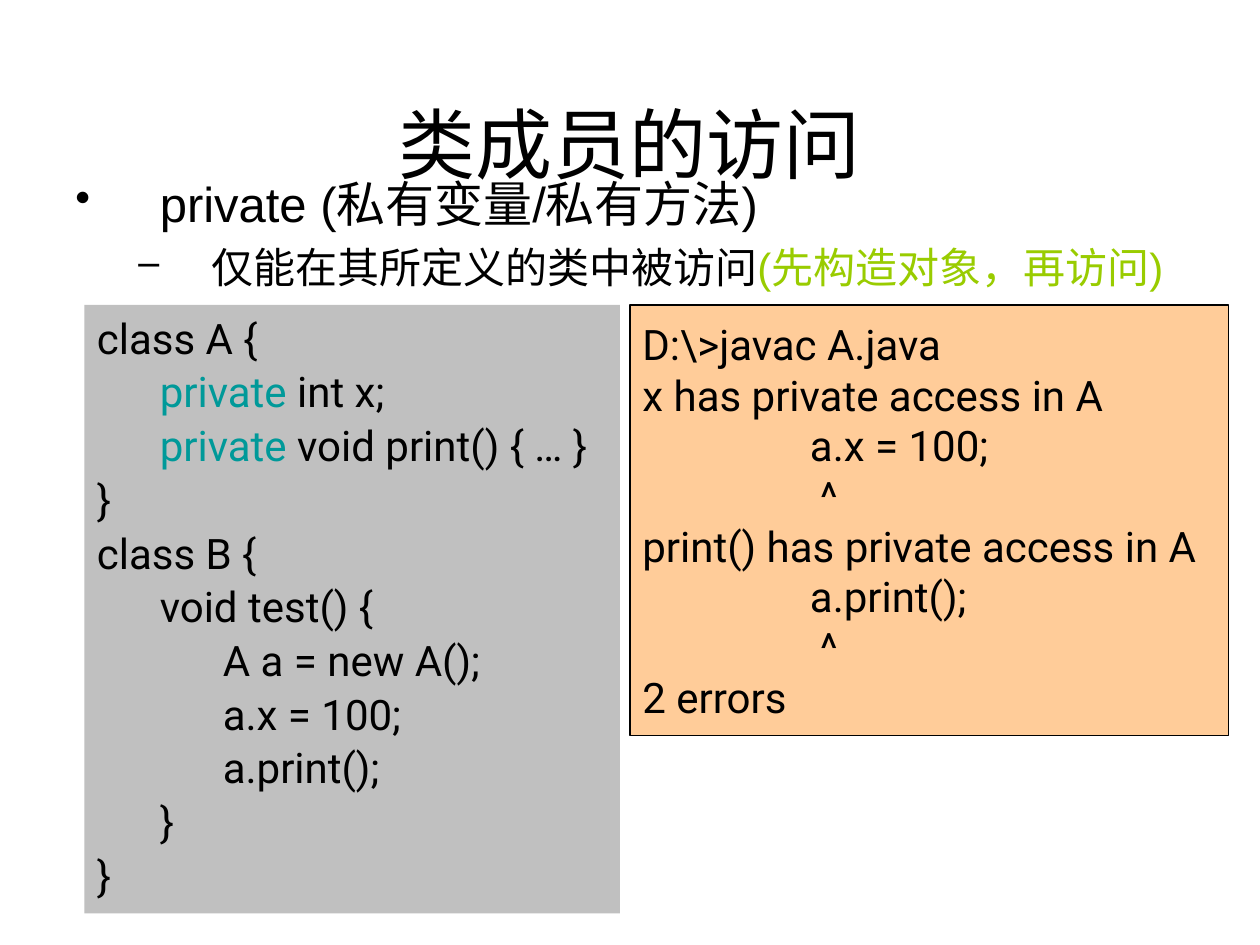
from dataclasses import dataclass
from typing import Optional

from lxml import etree
from pptx import Presentation
from pptx.dml.color import RGBColor
from pptx.enum.shapes import MSO_SHAPE
from pptx.enum.text import MSO_ANCHOR, PP_ALIGN
from pptx.oxml.ns import qn
from pptx.util import Inches, Pt

RECT = MSO_SHAPE.RECTANGLE
TOP, MIDDLE, BOTTOM = MSO_ANCHOR.TOP, MSO_ANCHOR.MIDDLE, MSO_ANCHOR.BOTTOM
LEFT, CENTER = PP_ALIGN.LEFT, PP_ALIGN.CENTER

BLACK = RGBColor(0x00, 0x00, 0x00)
LIME = RGBColor(0x99, 0xCC, 0x00)
TEAL = RGBColor(0x00, 0x99, 0x99)
PEACH = RGBColor(0xFF, 0xCC, 0x99)
GRAY = RGBColor(0xC0, 0xC0, 0xC0)


@dataclass
class Span:
    text: str
    color: RGBColor = BLACK


@dataclass
class Line:
    spans: list[Span]
    size: int = 24
    font: str = "Roboto"
    left: float = 0
    hang: float = 0
    level: int = 0
    pitch: Optional[float] = None
    gap: int = 0
    bullet: str = ""
    align: PP_ALIGN = LEFT


@dataclass
class Panel:
    box: tuple[float, float, float, float]
    lines: list[Line]
    anchor: MSO_ANCHOR = MIDDLE
    wrap: bool = False
    fill: Optional[RGBColor] = None
    edge: Optional[RGBColor] = None


def code(*spans: Span) -> Line:
    return Line(list(spans), left=0.5, hang=-0.5, pitch=0.9, gap=20)


def plain(text: str, left: float = 0) -> Line:
    return Line([Span(text)], left=left)


def write(para, line: Line) -> None:
    form = {"alignment": line.align, "level": line.level, "line_spacing": line.pitch}
    for key, value in form.items():
        setattr(para, key, value)
    props = para._p.get_or_add_pPr()
    props.set("marL", str(Inches(line.left)))
    props.set("indent", str(Inches(line.hang)))
    if line.gap:
        space = etree.SubElement(props, qn("a:spcBef"))
        etree.SubElement(space, qn("a:spcPct")).set("val", str(line.gap * 1000))
    if line.bullet:
        etree.SubElement(props, qn("a:buSzPct")).set("val", "90000")
        etree.SubElement(props, qn("a:buChar")).set("char", line.bullet)
    for span in line.spans:
        run = para.add_run()
        run.text = span.text
        for key, value in {"size": Pt(line.size), "name": line.font}.items():
            setattr(run.font, key, value)
        run.font.color.rgb = span.color


def draw(slide, panel: Panel) -> None:
    box = [Inches(size) for size in panel.box]
    if panel.fill is None:
        shape = slide.shapes.add_textbox(*box)
    else:
        shape = slide.shapes.add_shape(RECT, *box)
        shape.shadow.inherit = False
        shape.fill.solid()
        shape.fill.fore_color.rgb = panel.fill
        if panel.edge is None:
            shape.line.fill.background()
        else:
            shape.line.color.rgb = panel.edge
            shape.line.width = Pt(0.75)
    frame = shape.text_frame
    form = {"word_wrap": panel.wrap, "vertical_anchor": panel.anchor}
    for key, value in form.items():
        setattr(frame, key, value)
    for index, line in enumerate(panel.lines):
        write(frame.add_paragraph() if index else frame.paragraphs[0], line)


BODY = [
    Line([Span("private (私有变量/私有方法)")], 28, "Arial", 0.67, -0.67,
         gap=20, bullet="•"),
    Line([Span("仅能在其所定义的类中被访问"), Span("(先构造对象，再访问)", LIME)],
         24, "Arial", 1.08, -0.58, level=1, gap=20, bullet="–"),
]
ERRORS = [
    plain("D:\\>javac A.java"),
    plain("x has private access in A"),
    plain("a.x = 100;", 1.33),
    plain("^", 1.41),
    plain("print() has private access in A"),
    plain("a.print();", 1.33),
    plain("^", 1.41),
    plain("2 errors"),
]
TITLE = [Line([Span("类成员的访问")], 44, "Arial", align=CENTER)]
WORD = Span("private", TEAL)
SOURCE = [
    code(Span("class A {")),
    code(Span("\t"), WORD, Span(" int x;")),
    code(Span("\t"), WORD, Span(" void print() { … }")),
    *[code(Span(text)) for text in (
        "}", "class B {", "\tvoid test() {", "\t\tA a = new A();",
        "\t\ta.x = 100;", "\t\ta.print();", "\t}", "}")],
]
PANELS = [
    Panel((0.5, 1.33, 9.25, 1.08), BODY, TOP, True),
    Panel((5, 2.42, 4.75, 3.42), ERRORS, fill=PEACH, edge=BLACK),
    Panel((0.5, 0.3, 9, 1.25), TITLE, BOTTOM, True),
    Panel((0.67, 2.42, 4.25, 4.83), SOURCE, fill=GRAY),
]


def main() -> None:
    deck = Presentation()
    deck.slide_width, deck.slide_height = Inches(10), Inches(7.5)
    slide = deck.slides.add_slide(deck.slide_layouts[6])
    for panel in PANELS:
        draw(slide, panel)
    deck.save("out.pptx")


if __name__ == "__main__":
    main()
